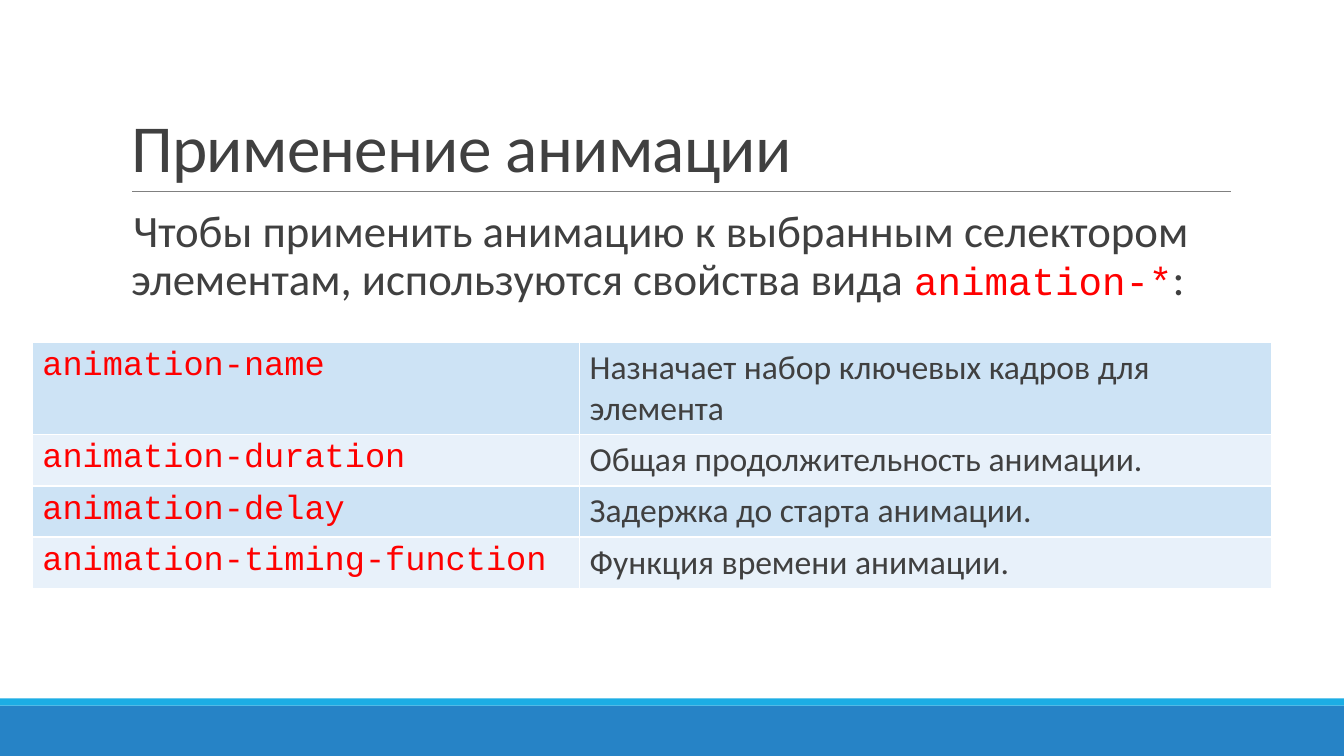
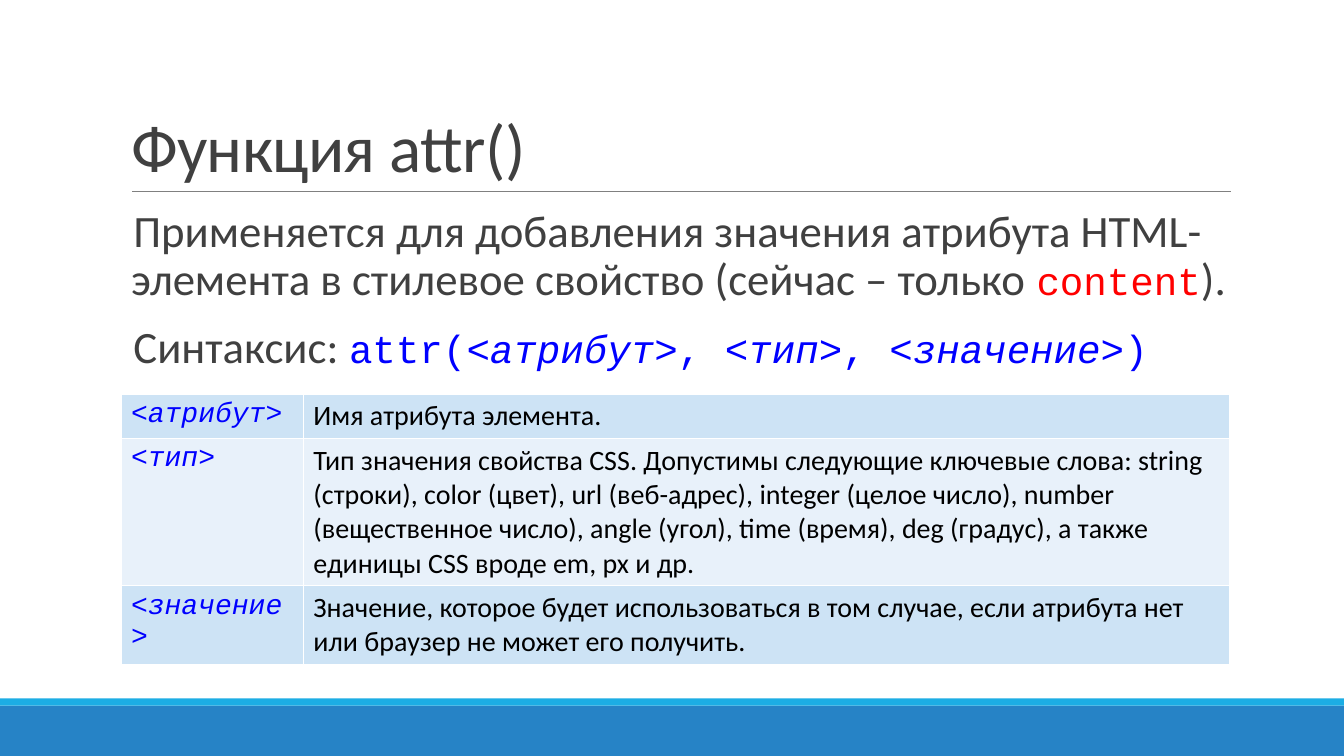
from pptx import Presentation
from pptx.dml.color import RGBColor
from pptx.enum.shapes import MSO_CONNECTOR, MSO_SHAPE
from pptx.enum.text import MSO_ANCHOR, MSO_AUTO_SIZE, PP_ALIGN
from pptx.oxml.ns import qn
from pptx.util import Inches, Pt
from lxml import etree

STRAIGHT = MSO_CONNECTOR.STRAIGHT
RECT = MSO_SHAPE.RECTANGLE
BOTTOM = MSO_ANCHOR.BOTTOM
TOP = MSO_ANCHOR.TOP
NO_FIT = MSO_AUTO_SIZE.NONE
LEFT = PP_ALIGN.LEFT

BLUE = RGBColor(0x26, 0x83, 0xC6)
SKY = RGBColor(0x1C, 0xAD, 0xE4)
GRAY = RGBColor(0x80, 0x80, 0x80)
DARK = RGBColor(0x40, 0x40, 0x40)
BLACK = RGBColor(0, 0, 0)
WHITE = RGBColor(0xFF, 0xFF, 0xFF)
RED = RGBColor(0xFF, 0, 0)
CODE_BLUE = RGBColor(0, 0, 0xFF)
ROW_FILLS = (RGBColor(0xCD, 0xE3, 0xF5), RGBColor(0xE8, 0xF1, 0xFA))

SANS, MONO = "Calibri", "Courier New"
COLS, ROWS = 133.33, 75
BODY_SIZE, CODE_SIZE = 32, 28
MARGIN, CONTENT_WIDTH = 12, 110
ROW_HEIGHT = 4.1

STYLES = {
    "text": (SANS, DARK, False),
    "black": (SANS, BLACK, False),
    "property": (MONO, RED, False),
    "syntax": (MONO, CODE_BLUE, False),
    "argument": (MONO, CODE_BLUE, True),
}


def grid(*units):
    return [Inches(u / 10) for u in units]


class Deck:
    def __init__(self):
        self.prs = Presentation()
        self.prs.slide_width, self.prs.slide_height = grid(COLS, ROWS)
        self.slide = None

    def add_slide(self, title):
        self.slide = self.prs.slides.add_slide(self.prs.slide_layouts[1])
        self.band(70, 5, BLUE)
        self.band(69.3, 0.7, SKY)
        self.rule(13.1, 19, 122.1)
        self.title(title)

    def band(self, top, height, color):
        sp = self.slide.shapes.add_shape(RECT, *grid(0, top, COLS, height))
        sp.shadow.inherit = False
        sp.fill.solid()
        sp.fill.fore_color.rgb = color
        sp.line.fill.background()

    def rule(self, left, top, right):
        line = self.slide.shapes.add_connector(STRAIGHT, *grid(left, top, right, top))
        line.line.color.rgb = GRAY
        line.line.width = Pt(0.5)
        etree.SubElement(line._element.spPr, qn("a:effectLst"))

    def place(self, sp, top, height, anchor):
        sp.left, sp.top, sp.width, sp.height = grid(MARGIN, top, CONTENT_WIDTH, height)
        tf = sp.text_frame
        tf.word_wrap = True
        tf.auto_size = NO_FIT
        tf.vertical_anchor = anchor
        return tf

    def run(self, p, text, style, size):
        r = p.add_run()
        r.text = text
        font = r.font
        font.size = Pt(size)
        font.name, font.color.rgb, font.italic = STYLES[style]
        return r

    def title(self, text):
        tf = self.place(self.slide.shapes.title, 3.1, 15.9, BOTTOM)
        p = tf.paragraphs[0]
        p.alignment = LEFT
        p.line_spacing = 0.85
        r = self.run(p, text, "text", 48)
        r._r.get_or_add_rPr().set("spc", "-50")

    def bullet(self, p):
        pPr = p._p.get_or_add_pPr()
        pPr.set("marL", str(Inches(0.1)))
        pPr.set("indent", str(-Inches(0.1)))
        color = etree.SubElement(pPr, qn("a:buClr"))
        etree.SubElement(color, qn("a:srgbClr"), val=str(SKY))
        etree.SubElement(pPr, qn("a:buChar"), char=" ")

    def body(self, *paragraphs):
        tf = self.place(self.slide.placeholders[1], 20.2, 44.1, TOP)
        tf.margin_left = tf.margin_right = 0
        for i, runs in enumerate(paragraphs):
            p = tf.add_paragraph() if i else tf.paragraphs[0]
            self.bullet(p)
            p.line_spacing = 0.9
            p.space_before = Pt(12 if i else 0)
            p.space_after = Pt(2)
            for text, style in runs:
                size = CODE_SIZE if STYLES[style][0] == MONO else BODY_SIZE
                self.run(p, text, style, size)

    def borders(self, cell):
        tcPr = cell._tc.get_or_add_tcPr()
        for side in ("lnL", "lnR", "lnT", "lnB"):
            ln = etree.SubElement(tcPr, qn(f"a:{side}"), w=str(Pt(1)))
            fill = etree.SubElement(ln, qn("a:solidFill"))
            etree.SubElement(fill, qn("a:srgbClr"), val=str(WHITE))

    def table(self, left, top, widths, styles, size, rows):
        box = grid(left, top, sum(widths), ROW_HEIGHT * len(rows))
        table = self.slide.shapes.add_table(len(rows), len(widths), *box).table
        table.first_row = False
        for column, width in zip(table.columns, grid(*widths)):
            column.width = width
        for i, texts in enumerate(rows):
            for j, text in enumerate(texts):
                cell = table.cell(i, j)
                self.borders(cell)
                cell.fill.solid()
                cell.fill.fore_color.rgb = ROW_FILLS[i % 2]
                self.run(cell.text_frame.paragraphs[0], text, styles[j], size)


def main():
    deck = Deck()

    deck.add_slide("Применение анимации")
    deck.body([
        ("Чтобы применить анимацию к выбранным селектором элементам, "
         "используются свойства вида ", "text"),
        ("animation-*", "property"),
        (":", "text"),
    ])
    deck.table(3.2, 34, (54.3, 68.7), ("property", "text"), 24, [
        ("animation-name", "Назначает набор ключевых кадров для элемента"),
        ("animation-duration", "Общая продолжительность анимации."),
        ("animation-delay", "Задержка до старта анимации."),
        ("animation-timing-function", "Функция времени анимации."),
    ])

    deck.add_slide("Функция attr()")
    deck.body(
        [
            ("Применяется для добавления значения атрибута HTML-элемента "
             "в стилевое свойство (сейчас – только ", "text"),
            ("content", "property"),
            (").", "text"),
        ],
        [
            ("Синтаксис: ", "text"),
            ("attr(", "syntax"),
            ("<атрибут>", "argument"),
            (", ", "syntax"),
            ("<тип>", "argument"),
            (", ", "syntax"),
            ("<значение>", "argument"),
            (")", "syntax"),
        ],
    )
    deck.table(MARGIN, 39.1, (18.1, 91.9), ("argument", "black"), 20, [
        ("<атрибут>", "Имя атрибута элемента."),
        ("<тип>",
         "Тип значения свойства CSS. Допустимы следующие ключевые слова: "
         "string (строки), color (цвет), url (веб-адрес), integer (целое число), "
         "number (вещественное число), angle (угол), time (время), deg (градус), "
         "а также единицы CSS вроде em, px и др."),
        ("<значение>",
         "Значение, которое будет использоваться в том случае, если атрибута нет "
         "или браузер не может его получить."),
    ])

    deck.prs.save("out.pptx")


if __name__ == "__main__":
    main()
